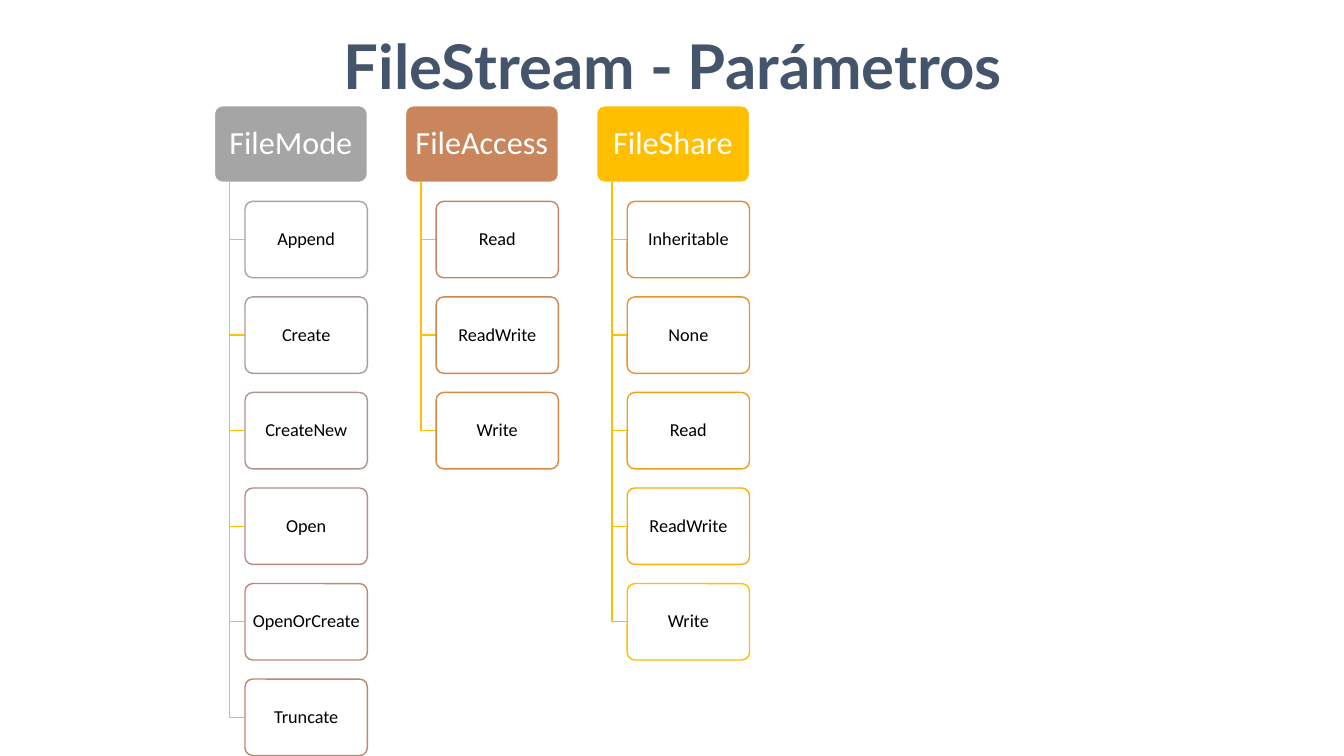
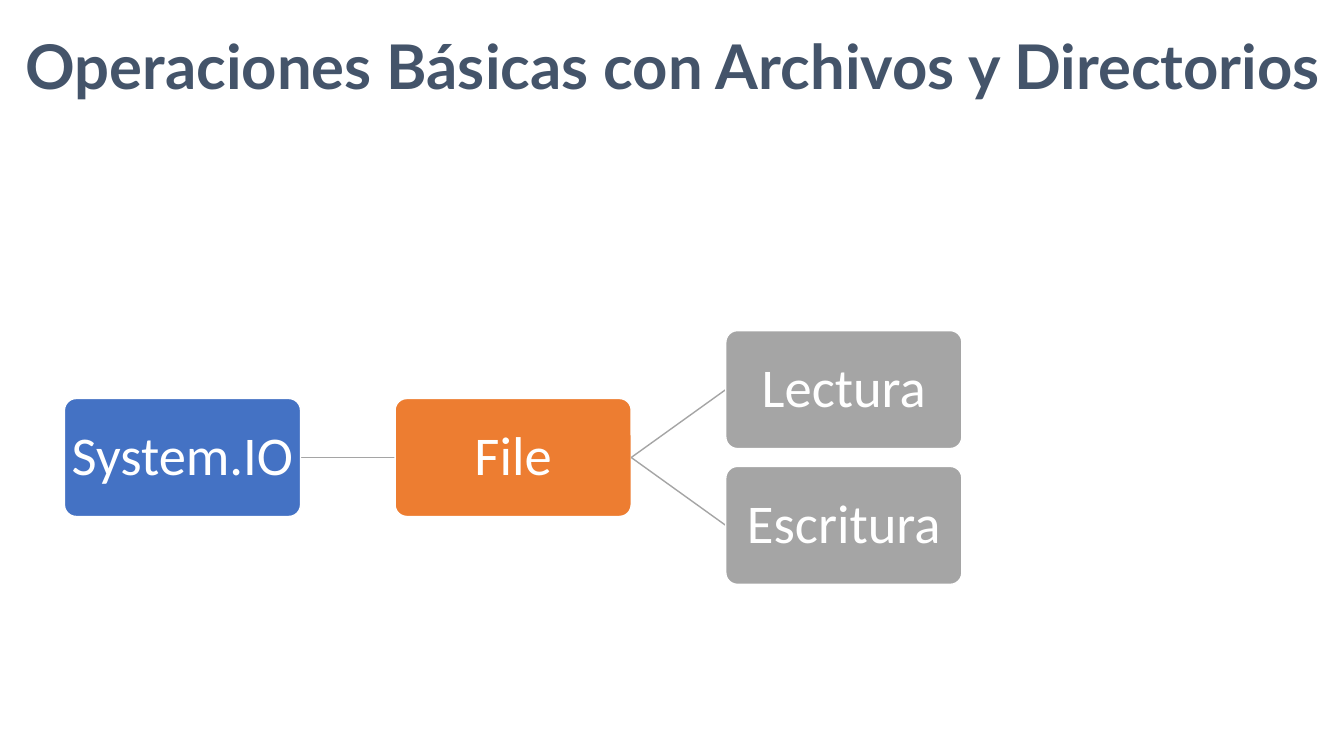
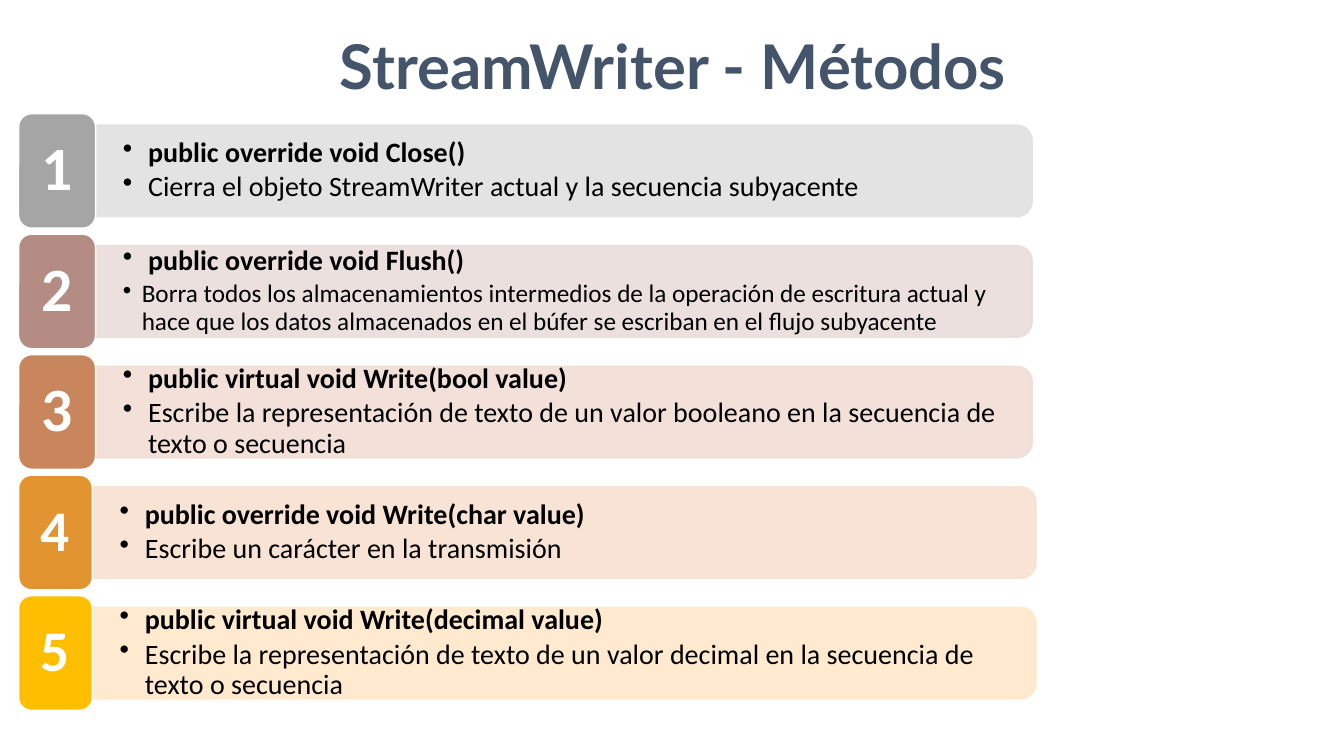
from colorsys import hls_to_rgb
from pptx import Presentation as Deck
from pptx.dml.color import RGBColor as Color
from pptx.enum.shapes import MSO_CONNECTOR as Wire, MSO_SHAPE as Form
from pptx.enum.text import MSO_ANCHOR as Anchor, MSO_AUTO_SIZE as Fit, PP_ALIGN as Align
from pptx.oxml import parse_xml
from pptx.oxml.ns import nsdecls, qn
from pptx.util import Pt

WHITE, BLACK, GREY, GOLD = "FFFFFF", "000000", "A5A5A5", "FFC000"
BLUE, RUST, SLATE = "4472C4", "ED7D31", "44546A"
# Ends of each ramp: hue, lightness, saturation
STRONG = (0, 0.647, 0), (0.125, 0.5, 1)
PALE = (0, 0.882, 0), (0.093, 0.898, 1)


def tone(code):
    return Color.from_string(code)


def fade(ramp, part):
    """Return the hex colour at a part (0 to 1) of a ramp."""
    hls = [a + (b - a) * part for a, b in zip(*ramp)]
    return "".join(f"{round(v * 255):02X}" for v in hls_to_rgb(*hls))


class Pen:
    """Holds the style and the slide being drawn; lengths are in points."""

    def __init__(self):
        self.deck = Deck()
        self.deck.slide_width, self.deck.slide_height = Pt(960), Pt(540)

    def start(self, title):
        self.slide = self.deck.slides.add_slide(self.deck.slide_layouts[5])
        self.shapes = self.slide.shapes
        head = self.shapes.title
        self.place(head, 9.4, 18.7, 943, 57)
        self.inset(head.text_frame, 3.6, 1.4, Anchor.TOP)
        head.text_frame.text = title
        self.style(head.text_frame.paragraphs[0], 44, SLATE, True, "Lato", Align.CENTER)

    def place(self, item, x, y, w, h):
        item.left, item.top, item.width, item.height = Pt(x), Pt(y), Pt(w), Pt(h)

    def inset(self, frame, side, edge, anchor=Anchor.MIDDLE, wrap=True):
        frame.auto_size, frame.word_wrap = Fit.NONE, wrap
        frame.vertical_anchor = anchor
        frame.margin_left = frame.margin_right = Pt(side)
        frame.margin_top = frame.margin_bottom = Pt(edge)

    def style(self, para, size, code, bold=False, face="Calibri", align=Align.LEFT):
        para.alignment = align
        for run in para.runs:
            font = run.font
            font.size, font.bold, font.name = Pt(size), bold, face
            font.color.rgb = tone(code)

    def paint(self, item, fill, line):
        item.shadow.inherit = False
        if fill:
            item.fill.solid()
            item.fill.fore_color.rgb = tone(fill)
        else:
            item.fill.background()
        item.line.color.rgb, item.line.width = tone(line), Pt(1)

    def box(self, x, y, w, h, text, size, fill, line=WHITE, ink=WHITE, bold=False, curve=0.1):
        item = self.shapes.add_shape(Form.ROUNDED_RECTANGLE, Pt(x), Pt(y), Pt(w), Pt(h))
        item.adjustments[0] = curve
        self.paint(item, fill, line)
        frame = item.text_frame
        self.inset(frame, 2, 2, wrap=False)
        frame.text = text
        frame.paragraphs[0].line_spacing = 0.9
        self.style(frame.paragraphs[0], size, ink, bold, align=Align.CENTER)

    def elbow(self, x, y, side, base):
        """Draw a line down from (x, y) to base, then across to side."""
        draft = self.shapes.build_freeform(Pt(x), Pt(y))
        draft.add_line_segments([(Pt(x), Pt(base)), (Pt(side), Pt(base))], close=False)
        self.paint(draft.convert_to_shape(), None, GOLD)

    def link(self, x, y, side, base):
        wire = self.shapes.add_connector(Wire.STRAIGHT, Pt(x), Pt(y), Pt(side), Pt(base))
        wire.line.color.rgb, wire.line.width = tone(GREY), Pt(1)
        wire._element.spPr.append(parse_xml(f"<a:effectLst {nsdecls('a')}/>"))

    def band(self, x, y, w, h, code):
        """Draw a see-through bar with a round right end."""
        bar = self.shapes.add_shape(Form.ROUND_2_SAME_RECTANGLE, 0, 0, Pt(h), Pt(w))
        self.place(bar, x + (w - h) / 2, y + (h - w) / 2, h, w)
        bar.rotation = 90
        self.paint(bar, code, code)
        for node in bar._element.spPr.iter(qn("a:srgbClr")):
            node.append(parse_xml(f'<a:alpha {nsdecls("a")} val="90000"/>'))

    def list(self, x, y, w, h, rows):
        """Write a list of (text, size, bold) rows with bullets."""
        frame = self.shapes.add_textbox(Pt(x), Pt(y), Pt(w), Pt(h)).text_frame
        self.inset(frame, 19.5, 10)
        frame.text = "\n".join(row[0] for row in rows)
        for para, (_, size, bold) in zip(frame.paragraphs, rows):
            dent = Pt(18 if size == 20 else 13.5)
            props = para._p.get_or_add_pPr()
            props.set("marL", str(dent))
            props.set("indent", str(-dent))
            props.append(parse_xml(f'<a:buChar {nsdecls("a")} char="•"/>'))
            para.line_spacing, para.space_after = 0.9, Pt(size * 0.15)
            self.style(para, size, BLACK, bold)


def modes(pen):
    pen.start("FileStream - Parámetros")
    groups = {
        "FileMode": ["Append", "Create", "CreateNew", "Open", "OpenOrCreate", "Truncate"],
        "FileAccess": ["Read", "ReadWrite", "Write"],
        "FileShare": ["Inheritable", "None", "Read", "ReadWrite", "Write"],
    }
    top, wide, high, step = 75.6, 109.2, 54.6, 68.25
    last = sum(map(len, groups.values())) - 1
    count = 0
    for col, (head, names) in enumerate(groups.items()):
        x = 153.2 + col * 136.5
        pen.box(x, top, wide, high, head, 23, fade(STRONG, col / 2))
        for row, name in enumerate(names, 1):
            y = top + row * step
            pen.elbow(x + wide * 0.1, top + high, x + wide * 0.2, y + high / 2)
            pen.box(x + wide * 0.2, y, wide * 0.8, high, name, 13, WHITE,
                    fade(STRONG, count / last), BLACK)
            count += 1


def files(pen):
    pen.start("Operaciones Básicas con Archivos y Directorios")
    wide, high, step, mid, rise = 168.7, 84.3, 236.2, 326.8, 48.5
    one, two, three = (46 + i * step for i in range(3))
    pen.link(one + wide, mid, two, mid)
    for x, y, text, fill in [(one, mid, "System.IO", BLUE), (two, mid, "File", RUST),
                             (three, mid - rise, "Lectura", GREY),
                             (three, mid + rise, "Escritura", GREY)]:
        if x == three:
            pen.link(two + wide, mid, three, y)
        pen.box(x, y - high / 2, wide, high, text, 39, fill)


def calls(pen):
    pen.start("StreamWriter - Métodos")
    rows = [
        ("public override void Close()",
         "Cierra el objeto StreamWriter actual y la secuencia subyacente", 20),
        ("public override void Flush()",
         "Borra todos los almacenamientos intermedios de la operación de escritura actual y "
         "hace que los datos almacenados en el búfer se escriban en el flujo subyacente", 18),
        ("public virtual void Write(bool value)",
         "Escribe la representación de texto de un valor booleano en la secuencia de "
         "texto o secuencia", 20),
        ("public override void Write(char value)", "Escribe un carácter en la transmisión", 20),
        ("public virtual void Write(decimal value)",
         "Escribe la representación de texto de un valor decimal en la secuencia de "
         "texto o secuencia", 20),
    ]
    left, high = 13.3, 81.8
    for i, (code, note, size) in enumerate(rows):
        y, part = 81.2 + i * 86.1, i / (len(rows) - 1)
        wide, span, digit = (55, 669, 44) if i < 3 else (52.7, 674, 41)
        x = left + wide
        pen.band(x, y + 8.2, span, 65.4, fade(PALE, part))
        pen.list(x, y + 11.2, span - 3, 59, [(code, 20, True), (note, size, False)])
        pen.box(left, y, wide, high, str(i + 1), digit, fade(STRONG, part),
                bold=True, curve=0.17)


def main():
    pen = Pen()
    for draw in (modes, files, calls):
        draw(pen)
    pen.deck.save("out.pptx")


if __name__ == "__main__":
    main()
